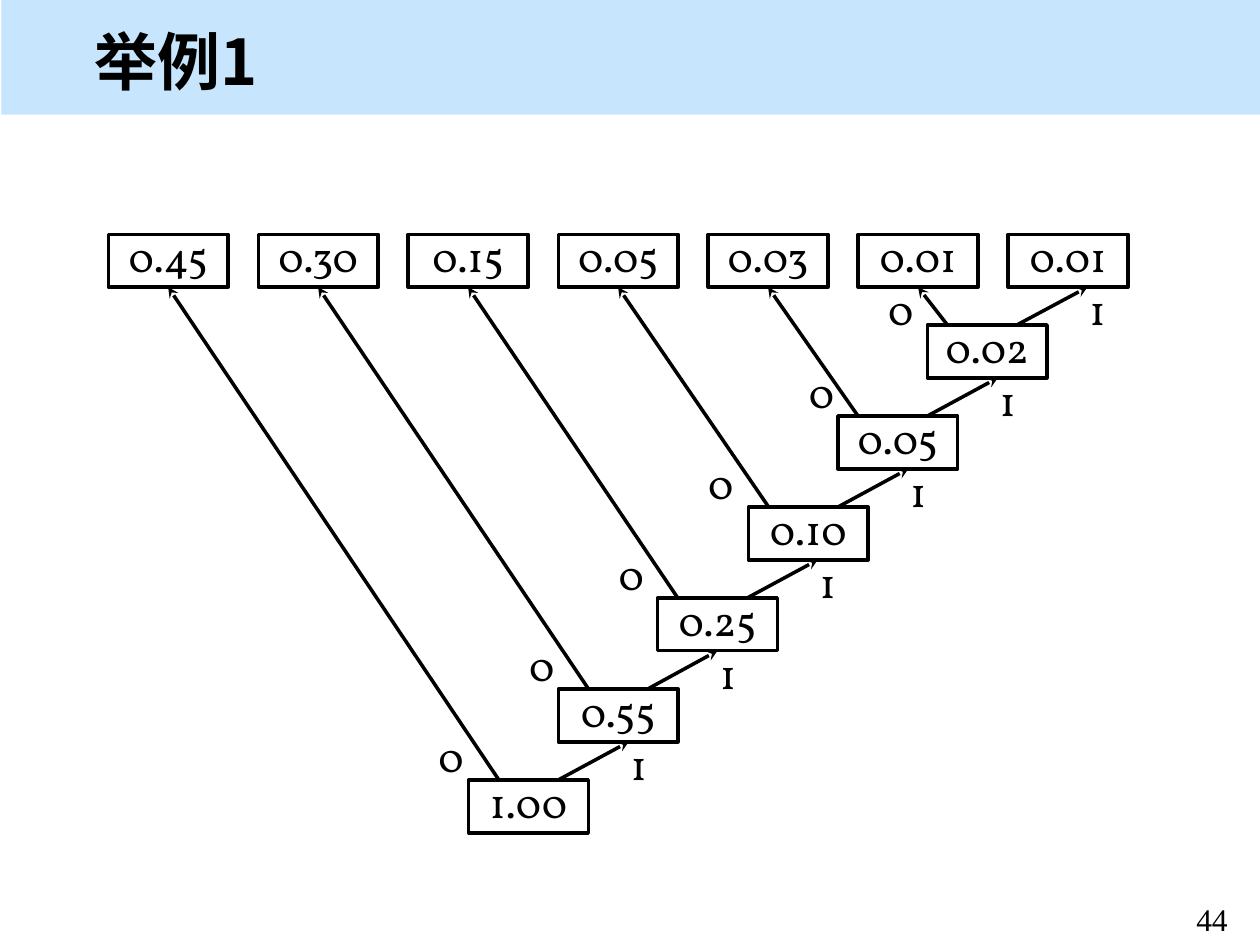
"""Build the slide showing a binary code tree of seven probabilities."""
import dataclasses

import lxml.etree
import pptx
import pptx.dml.color
import pptx.enum.shapes
import pptx.enum.text
import pptx.oxml.ns
import pptx.util

Pt = pptx.util.Pt
Shape = pptx.enum.shapes.MSO_SHAPE
Align = pptx.enum.text.PP_ALIGN
Anchor = pptx.enum.text.MSO_ANCHOR
qn = pptx.oxml.ns.qn


@dataclasses.dataclass(frozen=True)
class Theme:
    ink = pptx.dml.color.RGBColor(0, 0, 0)
    band = pptx.dml.color.RGBColor(0xC7, 0xE6, 0xFD)
    title_font = "Noto Sans CJK SC"
    tree_font = "Vollkorn"
    number_font = "Times New Roman"
    title_size = Pt(36)
    tree_size = Pt(24)
    number_size = Pt(18)
    stroke = Pt(2)


theme = Theme()


def write(box, text, font, size, align=Align.CENTER):
    para = box.text_frame.paragraphs[0]
    para.alignment = align
    span = para.add_run()
    span.text = text
    span.font.name = font
    span.font.size = size
    span.font.color.rgb = theme.ink
    return span


def write_tree(box, text):
    frame = box.text_frame
    frame.word_wrap = False
    frame.vertical_anchor = Anchor.MIDDLE
    frame.margin_left = frame.margin_right = Pt(5.76)
    frame.margin_top = frame.margin_bottom = Pt(2.88)
    write(box, text, theme.tree_font, theme.tree_size)
    frame.paragraphs[0].line_spacing = 0.8


deck = pptx.Presentation()
deck.slide_width, deck.slide_height = Pt(720), Pt(540)
page = deck.slides.add_slide(deck.slide_layouts[6])
shapes = page.shapes

band = shapes.add_shape(Shape.RECTANGLE, Pt(0.8), Pt(0), Pt(719.2), Pt(65.5))
band.shadow.inherit = False
band.fill.solid()
band.fill.fore_color.rgb = theme.band
band.line.fill.background()

number = shapes.add_textbox(Pt(667.4), Pt(510.5), Pt(50.4), Pt(23.8))
number.text_frame.word_wrap = True
write(number, "44", theme.number_font, theme.number_size)

title = shapes.add_textbox(Pt(46.8), Pt(11.5), Pt(659.5), Pt(48.2))
title.text_frame.word_wrap = True
title.text_frame.vertical_anchor = Anchor.BOTTOM
heading = write(title, "举例1", theme.title_font, theme.title_size, Align.LEFT)
heading.font.bold = True
east_asian = lxml.etree.SubElement(heading.font._element, qn("a:ea"))
east_asian.set("typeface", theme.title_font)

box_width, box_height = 68.4, 30.2
leaf_values = ["0.45", "0.30", "0.15", "0.05", "0.03", "0.01", "0.01"]
leaf_places = [(61.9 + 85.7 * i, 133.9, value) for i, value in enumerate(leaf_values)]
node_values = ["1.00", "0.55", "0.25", "0.10", "0.05", "0.02"]
node_lefts = [267.8, 319, 375.8, 427.7, 478.8, 529.9]
node_places = [(left, 445.7 - 52 * i, value)
               for i, (left, value) in enumerate(zip(node_lefts, node_values))]

boxes = []
for left, top, value in leaf_places + node_places:
    box = shapes.add_shape(Shape.RECTANGLE, Pt(left), Pt(top), Pt(box_width), Pt(box_height))
    box.shadow.inherit = False
    box.fill.background()
    box.line.color.rgb = theme.ink
    box.line.width = theme.stroke
    write_tree(box, value)
    boxes.append(box)
leaves, nodes = boxes[:len(leaf_values)], boxes[len(leaf_values):]

zero_starts = [17.3, 17.3, 11.5, 11.5, 11.5, 11.5]
zero_labels = [(244.8, 26), (296.6, 26), (347.8, 26), (398.9, 26), (456.5, 26), (501.8, 21.6)]
one_ends = [359.3, 410.4, 467.3, 519.1, 570.2, 621.4]
targets = nodes[1:] + leaves[-1:]
for i, (left, top, value) in enumerate(node_places):
    target = targets[i]
    target_middle = target.left + target.width // 2
    target_bottom = target.top + target.height
    leaf = leaves[i]
    edges = [
        (left + zero_starts[i], leaf, leaf.left + leaf.width // 2, leaf.top + leaf.height),
        (left + 51.2, target, Pt(one_ends[i]), target_bottom),
    ]
    for start, goal, end_x, end_y in edges:
        edge = shapes.add_connector(
            pptx.enum.shapes.MSO_CONNECTOR.STRAIGHT, Pt(start), Pt(top), end_x, end_y)
        if abs(end_x - goal.left - goal.width // 2) < Pt(1):
            edge.end_connect(goal, 2)
        edge.line.color.rgb = theme.ink
        edge.line.width = theme.stroke
        lxml.etree.SubElement(edge.line._get_or_add_ln(), qn("a:tailEnd")).set("type", "stealth")
        lxml.etree.SubElement(edge._element.spPr, qn("a:effectLst"))

    zero_left, zero_rise = zero_labels[i]
    labels = [("0", zero_left, zero_rise), ("1", one_ends[i] - 5.8, 21.6)]
    for digit, label_left, rise in labels:
        label = shapes.add_textbox(Pt(label_left), Pt(top - rise), Pt(23), Pt(box_height))
        write_tree(label, digit)

deck.save("out.pptx")
